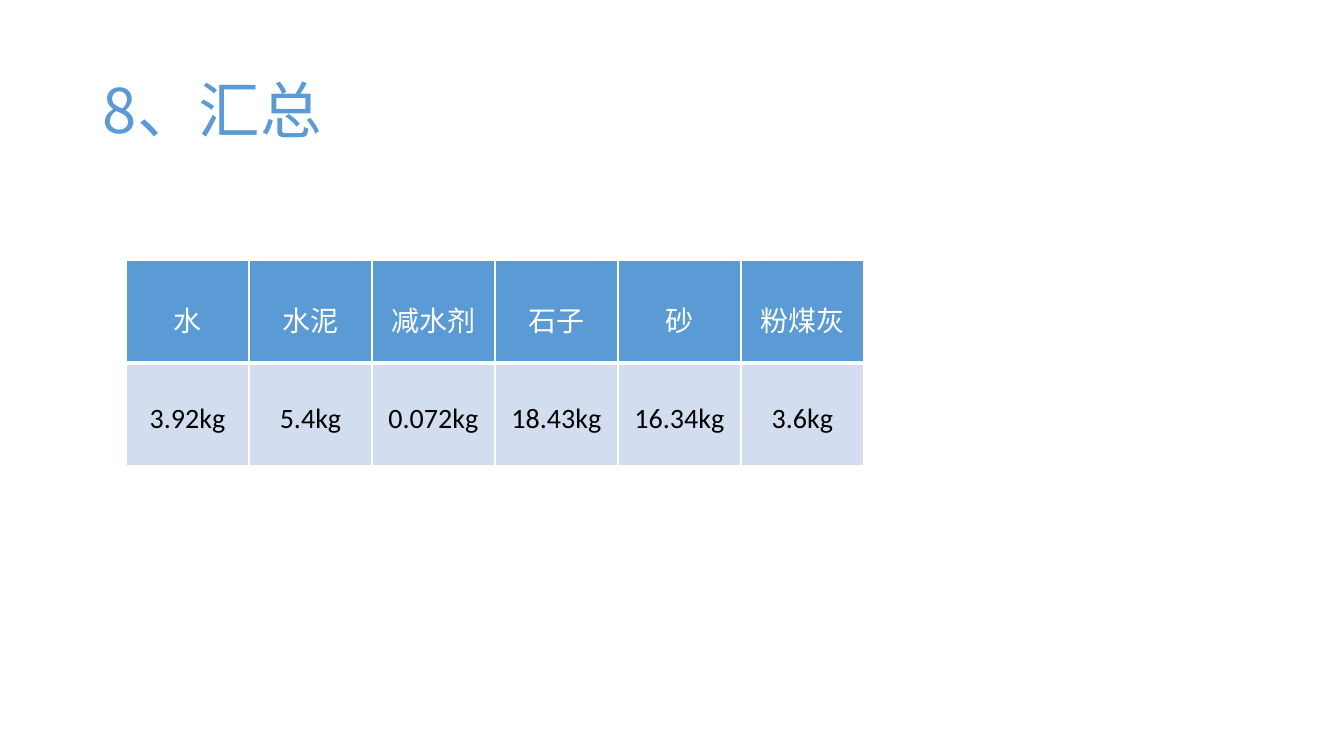
"""Build the summary slide listing the quantity of each concrete ingredient."""
from dataclasses import dataclass

from pptx import Presentation
from pptx import util as u
from pptx.dml.color import RGBColor
from pptx.enum import text
from pptx.oxml import parse_xml
from pptx.oxml.ns import nsdecls

BLUE = RGBColor(0x5B, 0x9B, 0xD5)
PALE_BLUE = RGBColor(0xD2, 0xDE, 0xEF)
WHITE = RGBColor(0xFF, 0xFF, 0xFF)
BLACK = RGBColor(0, 0, 0)
CJK_FONT = "Noto Sans CJK SC"
TITLE_BOX = dict(left=u.Inches(0.92), top=u.Inches(0.4),
                 width=u.Inches(11.5), height=u.Inches(1.45))
COL_WIDTH = u.Inches(1.22)
ROW_HEIGHT = u.Inches(1.02)


@dataclass(frozen=True)
class Ingredient:
    name: str
    amount: str


@dataclass(frozen=True)
class RowStyle:
    fill: RGBColor
    color: RGBColor
    bottom_pt: int


INGREDIENTS = [
    Ingredient("水", "3.92kg"),
    Ingredient("水泥", "5.4kg"),
    Ingredient("减水剂", "0.072kg"),
    Ingredient("石子", "18.43kg"),
    Ingredient("砂", "16.34kg"),
    Ingredient("粉煤灰", "3.6kg"),
]
HEADER = RowStyle(BLUE, WHITE, 3)
BODY = RowStyle(PALE_BLUE, BLACK, 1)


def set_attrs(target: object, values: dict) -> None:
    for name, value in values.items():
        setattr(target, name, value)


def set_font(r, color: RGBColor, size: int, latin: str) -> None:
    set_attrs(r.font, dict(name=latin, size=u.Pt(size), bold=False))
    r.font.color.rgb = color
    r.font._element.find("{*}latin").addnext(
        parse_xml(f'<a:ea {nsdecls("a")} typeface="{CJK_FONT}"/>'))


def add_borders(cell, bottom_pt: int) -> None:
    tc_pr = cell._tc.get_or_add_tcPr()
    for side, width in dict(L=1, R=1, T=1, B=bottom_pt).items():
        tc_pr.append(parse_xml(
            f'<a:ln{side} {nsdecls("a")} w="{u.Pt(width)}"><a:solidFill>'
            f'<a:srgbClr val="{WHITE}"/></a:solidFill></a:ln{side}>'))


def fill_cell(cell, label: str, style: RowStyle) -> None:
    add_borders(cell, style.bottom_pt)
    cell.fill.solid()
    cell.fill.fore_color.rgb = style.fill
    set_attrs(cell, dict(margin_top=u.Inches(0.39),
                         vertical_anchor=text.MSO_ANCHOR.TOP))
    p = cell.text_frame.paragraphs[0]
    p.alignment = text.PP_ALIGN.CENTER
    r = p.add_run()
    r.text = label
    set_font(r, style.color, 20, "Calibri")


def add_title(s, label: str) -> None:
    sp = s.shapes.title
    set_attrs(sp, TITLE_BOX)
    tf = sp.text_frame
    set_attrs(tf, dict(vertical_anchor=text.MSO_ANCHOR.MIDDLE, word_wrap=True,
                       auto_size=text.MSO_AUTO_SIZE.NONE))
    p = tf.paragraphs[0]
    set_attrs(p, dict(alignment=text.PP_ALIGN.LEFT, line_spacing=0.9))
    r = p.add_run()
    r.text = label
    set_font(r, BLUE, 44, CJK_FONT)


def add_summary_table(s, ingredients: list[Ingredient]) -> None:
    count = len(ingredients)
    table = s.shapes.add_table(2, count, u.Inches(1.25), u.Inches(2.58),
                               COL_WIDTH * count, ROW_HEIGHT * 2).table
    for col, item in enumerate(ingredients):
        fill_cell(table.cell(0, col), item.name, HEADER)
        fill_cell(table.cell(1, col), item.amount, BODY)


def main() -> None:
    prs = Presentation()
    set_attrs(prs, dict(slide_width=u.Inches(13.33), slide_height=u.Inches(7.5)))
    s = prs.slides.add_slide(prs.slide_layouts.get_by_name("Title Only"))
    add_title(s, "8、汇总")
    add_summary_table(s, INGREDIENTS)
    prs.save("out.pptx")


if __name__ == "__main__":
    main()
